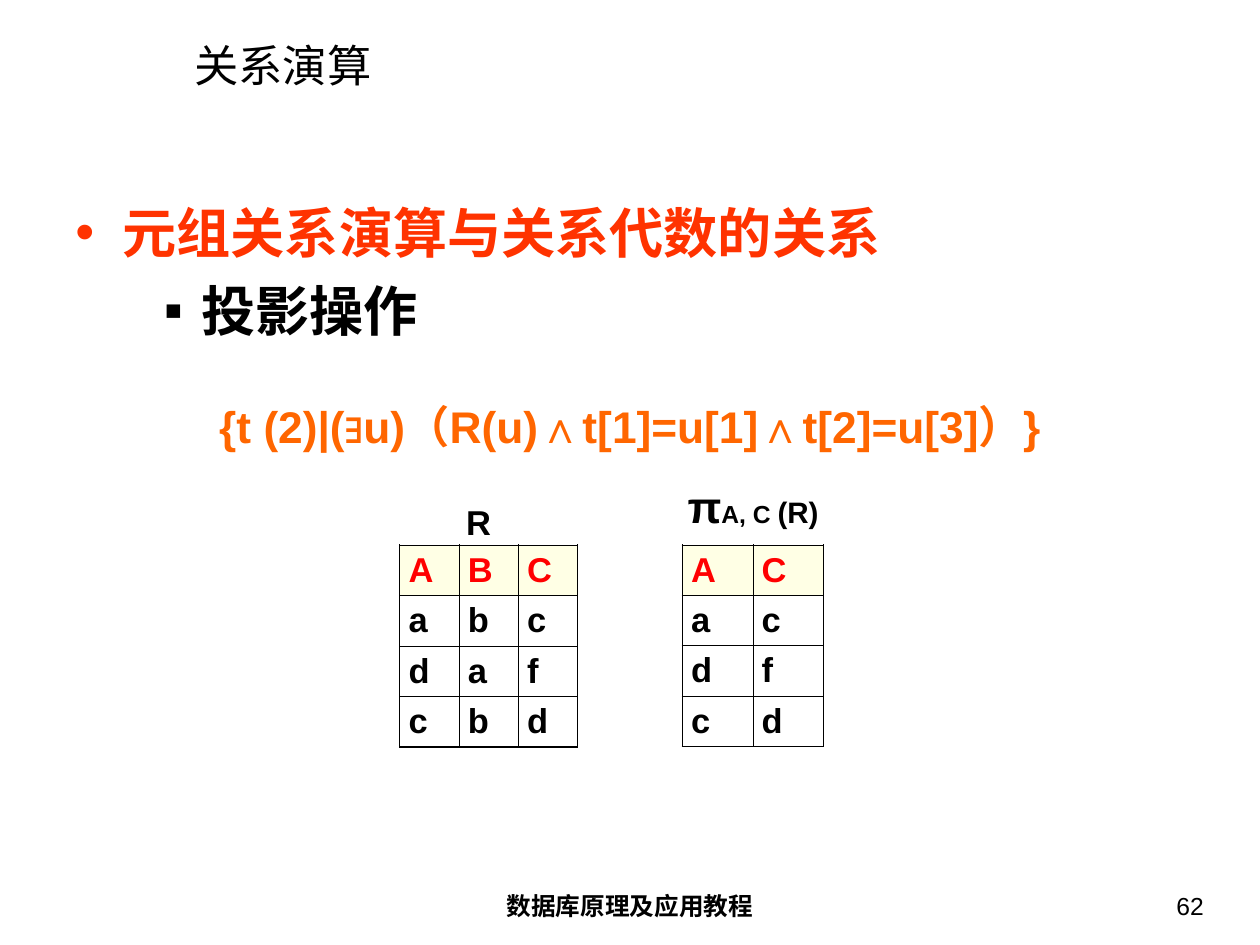
from lxml.etree import SubElement
from pptx import Presentation
from pptx.dml.color import RGBColor
from pptx.enum.text import MSO_ANCHOR, MSO_AUTO_SIZE, PP_ALIGN
from pptx.oxml.ns import qn
from pptx.util import Cm, Pt

BLACK, RED, ORANGE_RED, ORANGE, CREAM = "000000", "FF0000", "FF3300", "FF6600", "FFFFCC"
WIDE_INSETS = (0.36, 0.18)
NARROW_INSETS = (0.25, 0.13)
THIN, THICK = 0.45, 1.08


def color(hex_value):
    """Turn a hex string into a colour."""
    return RGBColor.from_string(hex_value)


def assign(target, values):
    """Set every attribute named in a dict."""
    for name, value in values.items():
        setattr(target, name, value)


def place(shape, box):
    """Move a shape to a box given in centimetres."""
    assign(shape, dict(zip(("left", "top", "width", "height"), map(Cm, box))))


def set_frame(frame, insets, **values):
    """Give a text frame its insets and layout."""
    side, edge = map(Cm, insets)
    defaults = {"margin_left": side, "margin_right": side, "margin_top": edge,
                "margin_bottom": edge, "word_wrap": True,
                "auto_size": MSO_AUTO_SIZE.NONE, "vertical_anchor": MSO_ANCHOR.TOP}
    assign(frame, {**defaults, **values})


def add_text(paragraph, text, size, hex_value=BLACK, bold=True):
    """Append one formatted run to a paragraph."""
    run = paragraph.add_run()
    run.text = text
    assign(run.font, {"size": Pt(size), "name": "Arial", "bold": bold})
    run.font.color.rgb = color(hex_value)


def set_bullet(paragraph, mark, hex_value, margin, indent):
    """Set the hanging indent and the bullet, or no bullet."""
    properties = paragraph._p.get_or_add_pPr()
    properties.set("marL", str(Cm(margin)))
    properties.set("indent", str(Cm(indent)))
    if not mark:
        SubElement(properties, qn("a:buNone"))
        return
    bullet_color = SubElement(properties, qn("a:buClr"))
    SubElement(bullet_color, qn("a:srgbClr"), val=hex_value)
    SubElement(properties, qn("a:buFont"), typeface="Arial")
    SubElement(properties, qn("a:buChar"), char=mark)


def add_title(title, box):
    """Fill the title placeholder."""
    place(title, box)
    set_frame(title.text_frame, WIDE_INSETS, vertical_anchor=MSO_ANCHOR.MIDDLE)
    heading = title.text_frame.paragraphs[0]
    heading.alignment = PP_ALIGN.LEFT
    add_text(heading, "关系演算", 36, bold=False)


def add_body(body, box):
    """Fill the body placeholder with the topic, the operation and its formula."""
    place(body, box)
    frame = body.text_frame
    set_frame(frame, WIDE_INSETS)
    points = [
        ("元组关系演算与关系代数的关系", 44, ORANGE_RED, "•", 1.35, -1.35,
         {"line_spacing": 2.0, "space_before": Pt(0)}),
        ("投影操作", 44, BLACK, "▪", 3.61, -1.07,
         {"level": 1, "line_spacing": 1.0, "space_before": Pt(11), "space_after": Pt(11)}),
        ("{t (2)|(∃u)（R(u)∧t[1]=u[1]∧t[2]=u[3]）}", 36, ORANGE, None, 1.35, -1.35,
         {"alignment": PP_ALIGN.CENTER, "line_spacing": 1.6, "space_before": Pt(9)}),
    ]
    for index, (text, size, hex_value, mark, margin, indent, spacing) in enumerate(points):
        point = frame.add_paragraph() if index else frame.paragraphs[0]
        assign(point, spacing)
        set_bullet(point, mark, hex_value, margin, indent)
        add_text(point, text, size, hex_value)


def add_label(slide, box, parts, insets, alignment=PP_ALIGN.LEFT, bold=True, **layout):
    """Add a one-line text box made of (text, size) parts."""
    label = slide.shapes.add_textbox(*map(Cm, box))
    set_frame(label.text_frame, insets, **layout)
    line = label.text_frame.paragraphs[0]
    line.alignment = alignment
    for text, size in parts:
        add_text(line, text, size, bold=bold)


def add_footer(slide, box):
    """Add the book title and the page number inside the footer strip."""
    left, top, width, height = box
    add_label(slide, (left, top, 11.43, height), [("数据库原理及应用教程", 20)],
              WIDE_INSETS, PP_ALIGN.CENTER)
    add_label(slide, (left + width - 8.43, top, 8.43, height), [("62", 20)],
              WIDE_INSETS, PP_ALIGN.RIGHT, False)


def set_borders(cell, on_edge):
    """Draw thick lines on outer edges and thin lines elsewhere."""
    properties = cell._tc.get_or_add_tcPr()
    for side in "LRTB":
        width = Pt(THICK if on_edge[side] else THIN)
        border = SubElement(properties, qn(f"a:ln{side}"), w=str(width))
        fill = SubElement(border, qn("a:solidFill"))
        SubElement(fill, qn("a:srgbClr"), val=BLACK)


def fill_header(cell):
    """Give a header cell a half-transparent cream fill."""
    cell.fill.solid()
    cell.fill.fore_color.rgb = color(CREAM)
    tint = cell._tc.tcPr.find(f"{qn('a:solidFill')}/{qn('a:srgbClr')}")
    SubElement(tint, qn("a:alpha"), val="50000")


def add_relation(slide, box, rows, caption, caption_box, wrap):
    """Draw a relation in its box with a caption offset from the box corner."""
    left, top, width, height = box
    row_count, column_count = len(rows), len(rows[0])
    relation = slide.shapes.add_table(row_count, column_count, *map(Cm, box)).table
    assign(relation, {"first_row": False, "horz_banding": False})
    for column in relation.columns:
        column.width = Cm(width / column_count)
    for row_index, values in enumerate(rows):
        relation.rows[row_index].height = Cm(height / row_count)
        for column_index, value in enumerate(values):
            cell = relation.cell(row_index, column_index)
            cell.vertical_anchor = MSO_ANCHOR.MIDDLE
            set_borders(cell, {"L": column_index == 0, "R": column_index == column_count - 1,
                               "T": row_index == 0, "B": row_index == row_count - 1})
            if row_index == 0:
                fill_header(cell)
            else:
                cell.fill.background()
            add_text(cell.text_frame.paragraphs[0], value, 28, BLACK if row_index else RED)
    shift_x, shift_y, caption_width, caption_height = caption_box
    add_label(slide, (left + shift_x, top + shift_y, caption_width, caption_height), caption,
              NARROW_INSETS, word_wrap=wrap, auto_size=MSO_AUTO_SIZE.SHAPE_TO_FIT_TEXT)


def main():
    """Build the projection slide."""
    deck = Presentation()
    assign(deck, {"slide_width": Cm(36.12), "slide_height": Cm(27.08)})
    slide = deck.slides.add_slide(deck.slide_layouts[1])
    add_title(slide.shapes.title, (5.21, 1.14, 30.05, 1.45))
    add_body(slide.placeholders[1], (1.8, 3.66, 32.51, 20.85))
    add_footer(slide, (12.34, 25.35, 22.53, 1.4))
    add_relation(slide, (11.46, 15.62, 5.1, 5.79), ["ABC", "abc", "daf", "cbd"],
                 [("R", 28)], (1.65, -1.4, 1.24, 1.45), True)
    add_relation(slide, (19.56, 15.62, 4.04, 5.75), ["AC", "ac", "df", "cd"],
                 [("π", 36), ("A, C ", 20), ("(R)", 24)], (-0.1, -2.01, 4.27, 1.78), False)
    deck.save("out.pptx")


if __name__ == "__main__":
    main()
